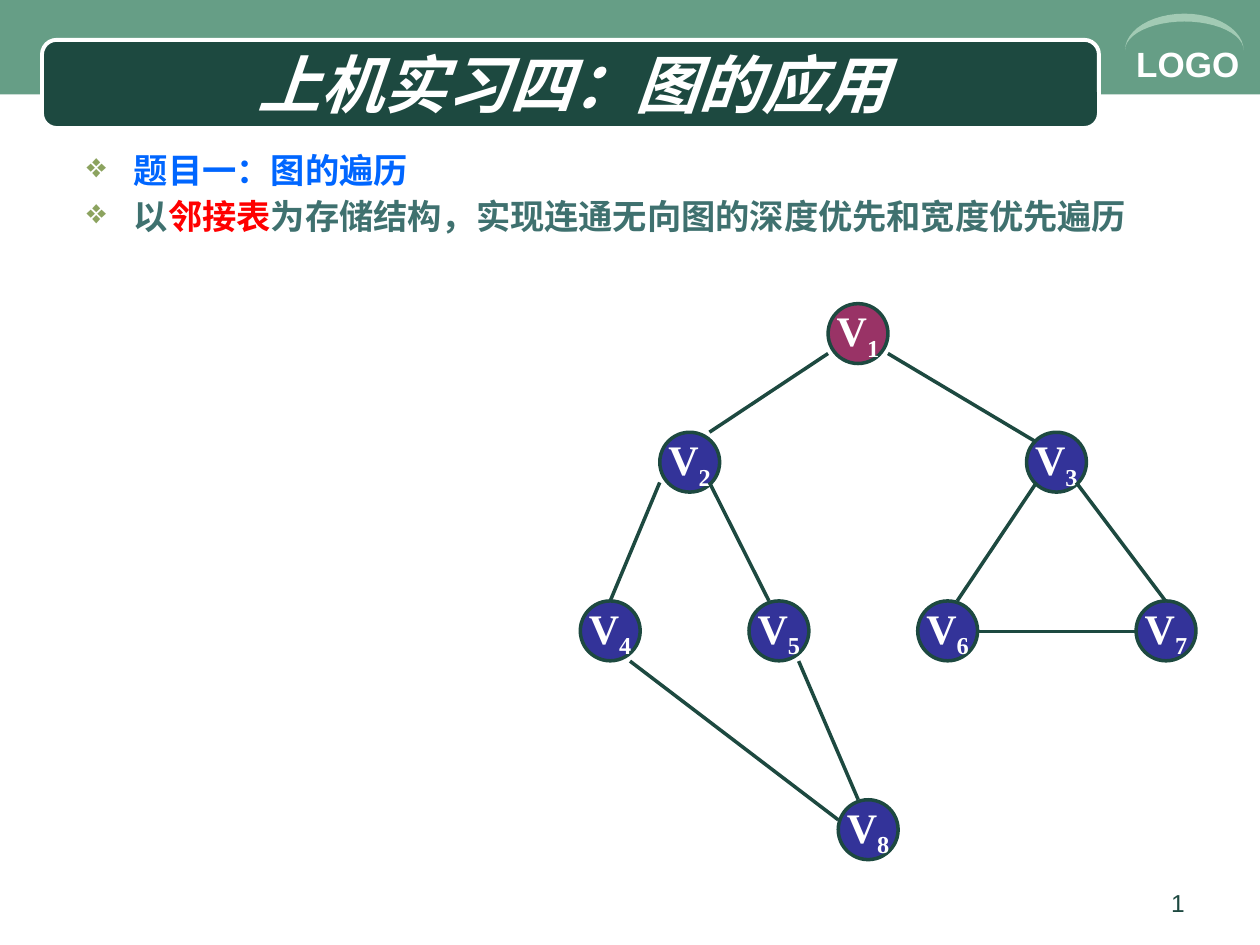
import math
import pptx
import pptx.util
import pptx.dml.color
import pptx.enum.shapes
import pptx.enum.text
import pptx.oxml.ns
from lxml import etree

Pt = pptx.util.Pt
SHAPE = pptx.enum.shapes.MSO_SHAPE
ALIGN = pptx.enum.text.PP_ALIGN
ANCHOR = pptx.enum.text.MSO_ANCHOR
qn = pptx.oxml.ns.qn

COLORS = {
    "band": "669E86", "dark": "1D4940", "white": "FFFFFF", "arc": "A2CAB4",
    "bullet": "8CA35F", "blue": "0066FF", "teal": "3F716F", "red": "FF0000",
    "start": "993366", "node": "333399",
}


def rgb(name):
    return pptx.dml.color.RGBColor.from_string(COLORS[name])


def format_run(run, size, color, name="Arial", bold=False, italic=False):
    font = run.font
    font.size, font.bold, font.italic = Pt(size), bold, italic
    font.color.rgb = rgb(color)
    font.name = name
    east_asian = etree.Element(qn("a:ea"), typeface="Noto Sans CJK SC")
    run._r.rPr.find(qn("a:latin")).addnext(east_asian)


presentation = pptx.Presentation()
presentation.slide_width, presentation.slide_height = Pt(720), Pt(540)
slide = presentation.slides.add_slide(presentation.slide_layouts[5])
shapes = slide.shapes

# Header band and title banner
band = shapes.add_shape(SHAPE.RECTANGLE, 0, 0, Pt(720), Pt(54))
band.fill.solid()
band.fill.fore_color.rgb = rgb("band")
band.line.fill.background()
band.shadow.inherit = False

banner = shapes.add_shape(SHAPE.ROUNDED_RECTANGLE, Pt(24), Pt(22.8), Pt(604), Pt(50.4))
banner.fill.solid()
banner.fill.fore_color.rgb = rgb("dark")
banner.line.color.rgb = rgb("white")
banner.line.width = Pt(2.25)
banner.shadow.inherit = False

# Title, raised above the banner
title = shapes.title
banner.element.addnext(title.element)
title.left, title.top, title.width, title.height = Pt(36), Pt(25.2), Pt(582), Pt(44.6)
title.text_frame.text = "上机实习四：图的应用"
title.text_frame.vertical_anchor = ANCHOR.MIDDLE
title.text_frame.paragraphs[0].alignment = ALIGN.CENTER
format_run(title.text_frame.paragraphs[0].runs[0], 36, "white", bold=True, italic=True)

# Crescent: an outer half ellipse closed by a flatter inner one
STEPS = 24
angles = [math.pi * step / STEPS for step in range(STEPS + 1)]
outer = [(676.8 + 33.9 * math.cos(a), 28.8 - 21 * math.sin(a)) for a in angles]
inner = [(676.8 + 33.9 * math.cos(a), 28.8 - 16.5 * math.sin(a)) for a in reversed(angles)]
points = [(Pt(x), Pt(y)) for x, y in outer + inner]
builder = shapes.build_freeform(*points[0])
builder.add_line_segments(points[1:], close=True)
crescent = builder.convert_to_shape()
crescent.fill.solid()
crescent.fill.fore_color.rgb = rgb("arc")
crescent.line.fill.background()
crescent.shadow.inherit = False

# Header label and page number
for text, left, top, width, height, size, color, bold, alignment in [
    ("LOGO", 642.2, 20.9, 77.8, 31.7, 20, "white", True, ALIGN.LEFT),
    ("1", 516, 504, 168, 25.2, 14, "dark", False, ALIGN.RIGHT),
]:
    label = shapes.add_textbox(Pt(left), Pt(top), Pt(width), Pt(height))
    label.text_frame.word_wrap = True
    label.text_frame.text = text
    label.text_frame.paragraphs[0].alignment = alignment
    format_run(label.text_frame.paragraphs[0].runs[0], size, color, bold=bold)

# Bulleted task description
tasks = [
    [("题目一：图的遍历", "blue")],
    [("以", "teal"), ("邻接表", "red"),
     ("为存储结构，实现连通无向图的深度优先和宽度优先遍历", "teal")],
]
body = shapes.add_textbox(Pt(42.5), Pt(86.5), Pt(612), Pt(91.4))
body.text_frame.word_wrap = True
for index, pieces in enumerate(tasks):
    paragraph = body.text_frame.paragraphs[0] if index == 0 else body.text_frame.add_paragraph()
    properties = paragraph._p.get_or_add_pPr()
    properties.set("marL", str(Pt(27)))
    properties.set("indent", str(-Pt(27)))
    bullet_color = etree.SubElement(properties, qn("a:buClr"))
    etree.SubElement(bullet_color, qn("a:srgbClr"), val=COLORS["bullet"])
    etree.SubElement(properties, qn("a:buChar"), char="❖")
    paragraph.line_spacing = 0.8
    paragraph.space_before = Pt(7 if index else 0)
    for text, color in pieces:
        run = paragraph.add_run()
        run.text = text
        format_run(run, 19.6, color, bold=True)

# Graph vertices: number -> left, top
DIAMETER = 34.2
vertices = {
    1: (473.2, 173.5),
    2: (377, 247), 3: (586.6, 247),
    4: (331.6, 343.4), 5: (428, 343.4), 6: (524.4, 343.4), 7: (649.2, 343.4),
    8: (479, 457),
}
for number, (left, top) in vertices.items():
    vertex = shapes.add_shape(SHAPE.OVAL, Pt(left), Pt(top), Pt(DIAMETER), Pt(DIAMETER))
    vertex.fill.solid()
    vertex.fill.fore_color.rgb = rgb("start" if number == 1 else "node")
    vertex.line.color.rgb = rgb("dark")
    vertex.line.width = Pt(2)
    vertex.shadow.inherit = False
    vertex.text_frame.word_wrap = False
    vertex.text_frame.vertical_anchor = ANCHOR.MIDDLE
    paragraph = vertex.text_frame.paragraphs[0]
    paragraph.alignment = ALIGN.CENTER
    for text in ("V", str(number)):
        run = paragraph.add_run()
        run.text = text
        format_run(run, 24, "white", "Times New Roman", bold=True)
    run.font._element.set("baseline", "-25000")

# Graph edges: start x, y and end x, y
edges = [
    (473.2, 202, 405.4, 247), (507.4, 202, 592.3, 252.7),
    (377, 275.7, 348.7, 343.4), (405.4, 275.7, 439.4, 343.4),
    (360, 377.8, 479, 468.5), (456.4, 377.8, 490.4, 457),
    (592.3, 275.7, 547, 343.4), (615, 275.7, 666, 343.4),
    (558.6, 360.8, 649.2, 360.8),
]
for edge in edges:
    connector = shapes.add_connector(
        pptx.enum.shapes.MSO_CONNECTOR.STRAIGHT, *[Pt(value) for value in edge])
    connector.line.color.rgb = rgb("dark")
    connector.line.width = Pt(2)
    etree.SubElement(connector.element.spPr, qn("a:effectLst"))

presentation.save("out.pptx")
